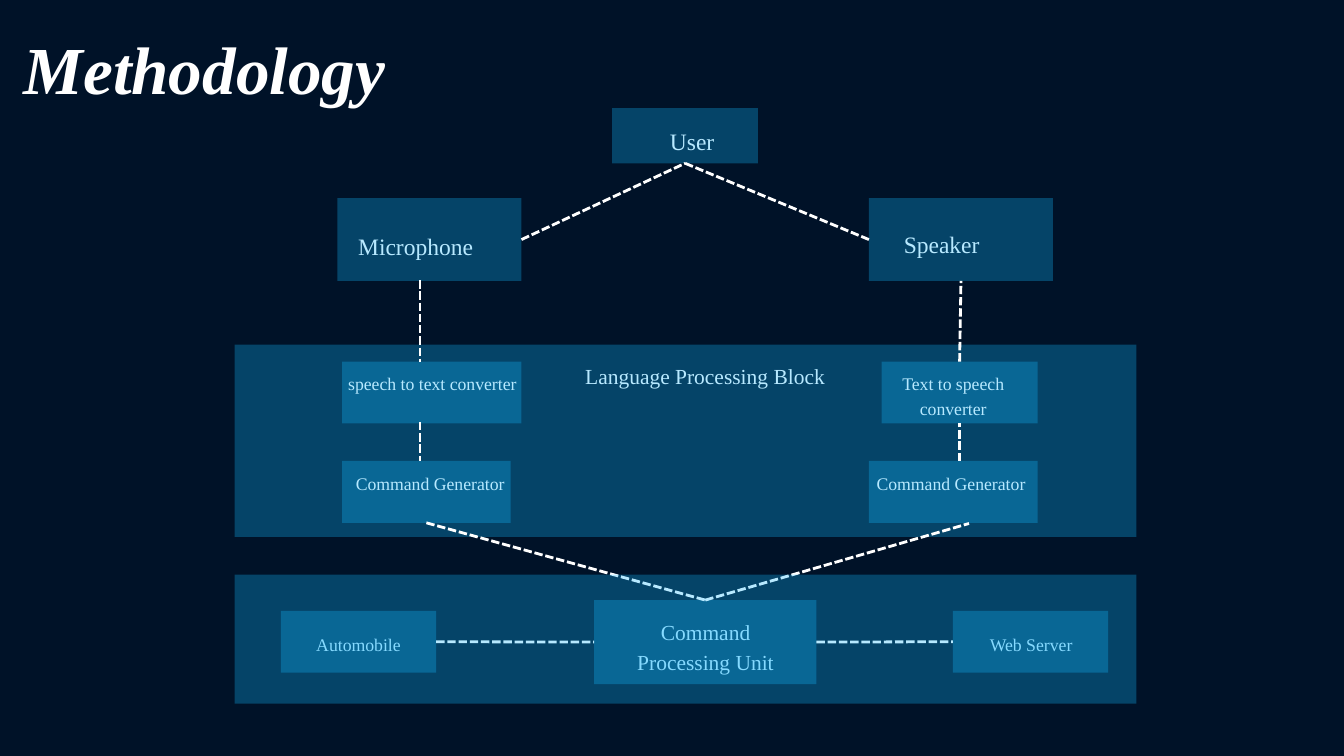
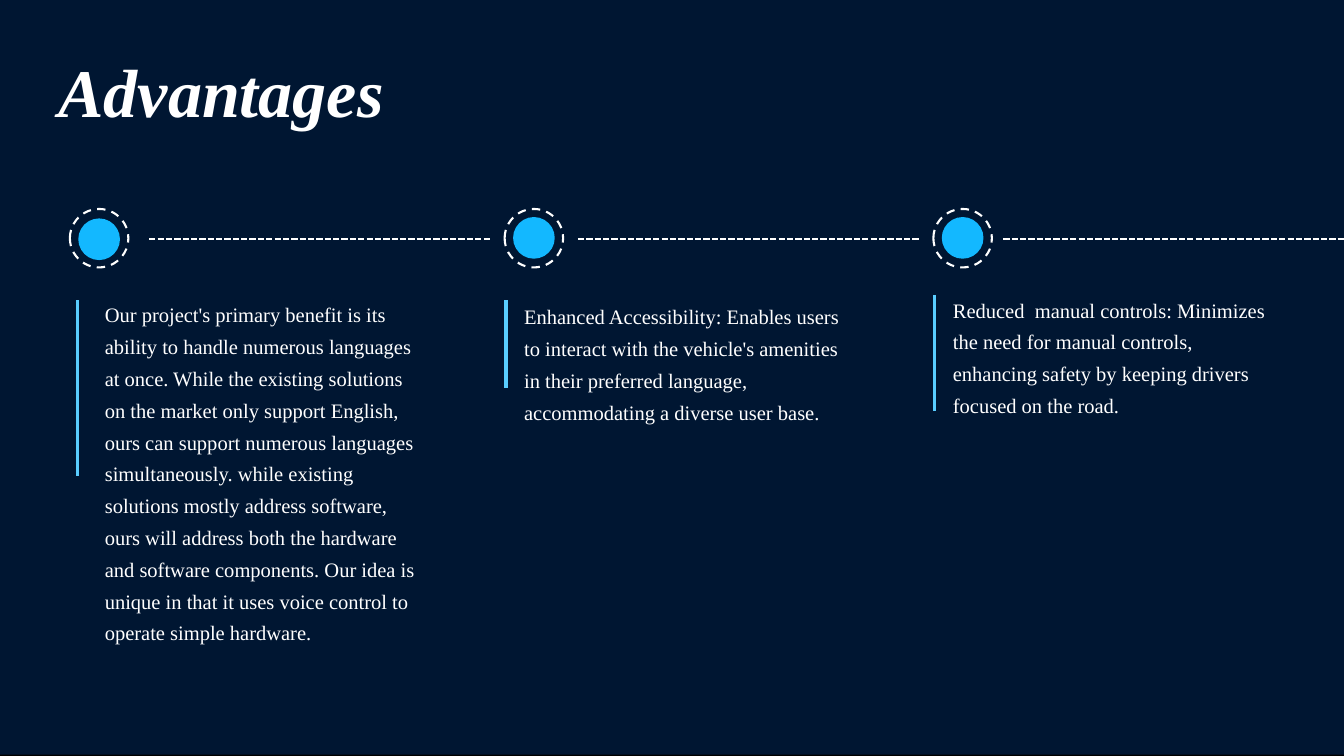
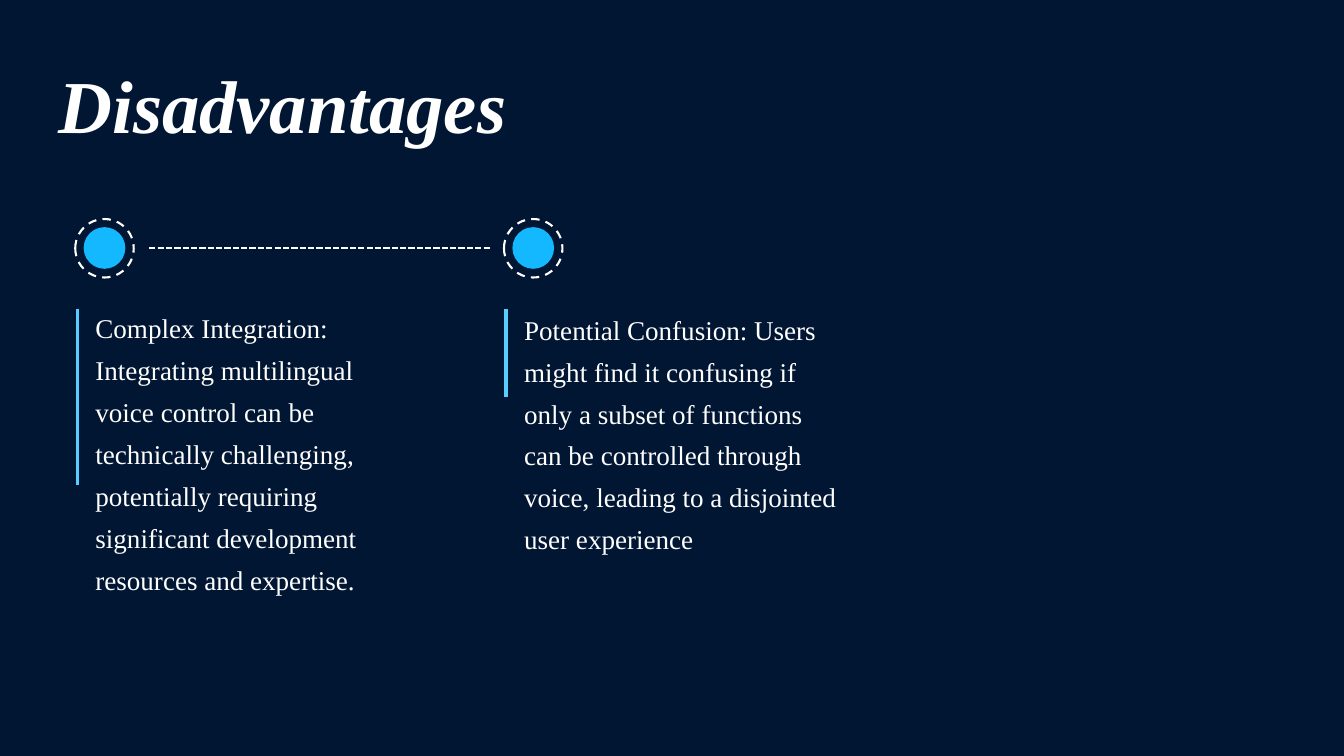
from lxml.etree import SubElement
from pptx import Presentation
from pptx.dml.color import RGBColor
from pptx.enum.dml import MSO_LINE
from pptx.enum.shapes import MSO_CONNECTOR, MSO_SHAPE as SHAPE
from pptx.enum.text import PP_ALIGN as ALIGN
from pptx.oxml.ns import qn
from pptx.util import Inches, Pt

BLACK = RGBColor(0x00, 0x00, 0x00)
WHITE = RGBColor(0xFF, 0xFF, 0xFF)
NAVY = RGBColor(0x00, 0x1E, 0x44)
SKY = RGBColor(0x13, 0xB8, 0xFF)
PALE_SKY = RGBColor(0x59, 0xCD, 0xFF)
FONT = "Times New Roman"

deck = Presentation()
deck.slide_width, deck.slide_height = Inches(20), Inches(11.25)
CELL = deck.slide_width / 200
BOTTOM, LEFT, RIGHT, TOP = 2, 1, 3, 0


def add_text(slide, text, box, size, leading, align=ALIGN.LEFT, strong=False):
    frame = slide.shapes.add_textbox(*[int(n * CELL) for n in box]).text_frame
    frame.word_wrap = True
    frame.margin_left = frame.margin_right = frame.margin_top = frame.margin_bottom = 0
    paragraph = frame.paragraphs[0]
    paragraph.alignment = align
    paragraph.line_spacing = Pt(leading)
    run = paragraph.add_run()
    run.text = text
    run.font.name, run.font.size = FONT, Pt(size)
    run.font.bold = run.font.italic = strong
    run.font.color.rgb = WHITE


def add_line(slide, ends, color, width, dash=None):
    line = slide.shapes.add_connector(MSO_CONNECTOR.STRAIGHT, *[int(n * CELL) for n in ends])
    line.line.color.rgb = color
    line.line.width = Pt(width)
    if dash:
        line.line.dash_style = dash
    SubElement(line._element.spPr, qn("a:effectLst"))
    return line


pages = []
for title, box, size, leading, depth, opacity in [
    ("Methodology", (3.5, 3.6, 114.4, 11.7), 72, 89.3, 112.5, 60),
    ("Advantages", (8.7, 7, 91.3, 12.4), 73, 90.5, 112.3, 75),
    ("Disadvantages", (8.7, 8.3, 91.3, 13), 80, 99.2, 112.5, 75),
]:
    page = deck.slides.add_slide(deck.slide_layouts[6])
    page.background.fill.solid()
    page.background.fill.fore_color.rgb = BLACK
    backdrop = page.shapes.add_shape(SHAPE.RECTANGLE, 0, 0, deck.slide_width, int(depth * CELL))
    backdrop.shadow.inherit = False
    backdrop.line.fill.background()
    backdrop.fill.solid()
    backdrop.fill.fore_color.rgb = NAVY
    SubElement(backdrop._element.spPr.find(".//" + qn("a:srgbClr")), qn("a:alpha"), val=str(opacity * 1000))
    add_text(page, title, box, size, leading, strong=True)
    pages.append(page)
methodology, advantages, disadvantages = pages

ACTOR = (25.2, 37.8, ALIGN.LEFT)
MAJOR = (23, 32.2, ALIGN.CENTER)
MINOR = (19, 26.6, ALIGN.CENTER)
blocks = {}
for key, box, label, label_box, style in [
    ("user", (91.1, 16.1, 21.7, 8.2), "User", (99.7, 17.9, 10.7, 4.8), ACTOR),
    ("microphone", (50.2, 29.5, 27.4, 12.3), "Microphone", (53.3, 33.4, 22, 4.8), ACTOR),
    ("speaker", (129.3, 29.5, 27.4, 12.3), "Speaker", (134.5, 33.2, 14.8, 4.8), ACTOR),
    ("language", (34.9, 51.3, 134.2, 28.6), "Language Processing Block", (84.1, 53.4, 41.7, 4.1), MAJOR),
    ("to text", (50.9, 53.8, 26.7, 9.2), "speech to text converter", (51.6, 55, 25.5, 3.5), MINOR),
    ("to speech", (131.2, 53.8, 23.2, 9.2), "Text to speech converter", (129.3, 55, 25.1, 7.3), MINOR),
    ("input command", (50.9, 68.6, 25.1, 9.2), "Command Generator ", (51.8, 69.8, 25.1, 3.5), MINOR),
    ("output command", (129.3, 68.6, 25.1, 9.2), "Command Generator ", (129.3, 69.8, 25.1, 3.5), MINOR),
    ("processing unit", (88.4, 89.3, 33.1, 12.5), "Command Processing Unit", (92.1, 91.5, 25.8, 8.6), MAJOR),
    ("automobile", (41.8, 90.9, 23.1, 9.2), "Automobile", (46.3, 93.8, 14.1, 3.5), MINOR),
    ("web server", (141.8, 90.9, 23.1, 9.2), "Web Server", (146.1, 93.8, 14.7, 3.5), MINOR),
    ("devices", (34.9, 85.5, 134.2, 19.2), None, None, None),
]:
    if label:
        add_text(methodology, label, label_box, *style)
    block = methodology.shapes.add_shape(SHAPE.RECTANGLE, *[int(n * CELL) for n in box])
    block.shadow.inherit = False
    block.line.fill.background()
    block.fill.solid()
    block.fill.fore_color.rgb = SKY
    SubElement(block._element.spPr.find(".//" + qn("a:srgbClr")), qn("a:alpha"), val="30000")
    blocks[key] = block

for ends, start, finish in [
    ((63, 77.9, 105, 89.3), ("input command", BOTTOM), ("processing unit", TOP)),
    ((105, 89.3, 144.2, 77.9), ("processing unit", TOP), None),
    ((64.9, 95.5, 88.4, 95.6), ("automobile", RIGHT), ("processing unit", LEFT)),
    ((121.5, 95.5, 141.8, 95.5), ("processing unit", RIGHT), ("web server", LEFT)),
    ((102, 24.3, 129.3, 35.7), ("user", BOTTOM), ("speaker", LEFT)),
    ((77.6, 35.7, 102, 24.3), ("microphone", RIGHT), ("user", BOTTOM)),
    ((62.5, 41.7, 62.5, 53.8), None, None),
    ((142.8, 53.8, 143, 42), ("to speech", TOP), ("speaker", BOTTOM)),
    ((62.5, 62.8, 62.5, 68.6), None, None),
    ((142.8, 68.6, 142.8, 62.8), None, ("to speech", BOTTOM)),
]:
    link = add_line(methodology, ends, WHITE, 3, MSO_LINE.SQUARE_DOT)
    if start:
        link.begin_connect(blocks[start[0]], start[1])
    if finish:
        link.end_connect(blocks[finish[0]], finish[1])

methodology.shapes._spTree.append(blocks["devices"]._element)

RING, DOT, PITCH = 8.7, 6.2, 63.8
ADVANTAGE_TEXT = (22, 34.1)
DISADVANTAGE_TEXT = (29, 44.9)
for page, axis, ring_top, style, points in [
    (advantages, 35.6, 31.1, ADVANTAGE_TEXT, [
        (10.4, 32.5, (22.2, 72.9), (44.7, 70.9), (15.6, 43.9, 47.3, 52),
         "Our project's primary benefit is its ability to handle numerous languages at once. "
         "While the existing solutions on the market only support English, ours can support "
         "numerous languages simultaneously. while existing solutions mostly address software, "
         "ours will address both the hardware and software components. Our idea is unique in "
         "that it uses voice control to operate simple hardware."),
        (75.1, 32.3, (86, 136.7), (44.7, 57.8), (78, 44.2, 47.3, 23.4),
         "Enhanced Accessibility: Enables users to interact with the vehicle's amenities in "
         "their preferred language, accommodating a diverse user base."),
        (138.9, 32.3, (149.3, 200), (43.9, 61.1), (141.8, 43.2, 47.3, 23.4),
         "Reduced  manual controls: Minimizes the need for manual controls, enhancing safety "
         "by keeping drivers focused on the road."),
    ]),
    (disadvantages, 36.9, 32.6, DISADVANTAGE_TEXT, [
        (11.2, 33.8, (22.2, 72.9), (46, 72.2), (14.2, 45, 47.3, 49.9),
         "Complex Integration: Integrating multilingual voice control can be technically "
         "challenging, potentially requiring significant development resources and expertise."),
        (75, 33.8, None, (46, 59.1), (78, 45.2, 47.3, 37.2),
         "Potential Confusion: Users might find it confusing if only a subset of functions can "
         "be controlled through voice, leading to a disjointed user experience"),
    ]),
]:
    for index, (ring_left, dot_top, dashes, bar, box, text) in enumerate(points):
        ring = page.shapes.add_shape(SHAPE.OVAL, *[int(n * CELL) for n in (ring_left, ring_top, RING, RING)])
        ring.shadow.inherit = False
        ring.fill.background()
        ring.line.color.rgb = WHITE
        ring.line.width = Pt(2.25)
        ring.line.dash_style = MSO_LINE.DASH
        dot_left = ring_left + (RING - DOT) / 2
        dot = page.shapes.add_shape(SHAPE.OVAL, *[int(n * CELL) for n in (dot_left, dot_top, DOT, DOT)])
        dot.shadow.inherit = False
        dot.fill.solid()
        dot.fill.fore_color.rgb = SKY
        dot.line.fill.background()
        if dashes:
            add_line(page, (dashes[0], axis, dashes[1], axis), WHITE, 2.25, MSO_LINE.SQUARE_DOT)
        bar_left = 11.5 + index * PITCH
        add_line(page, (bar_left, bar[0], bar_left, bar[1]), PALE_SKY, 3.75)
        add_text(page, text, box, *style)

deck.save("out.pptx")
